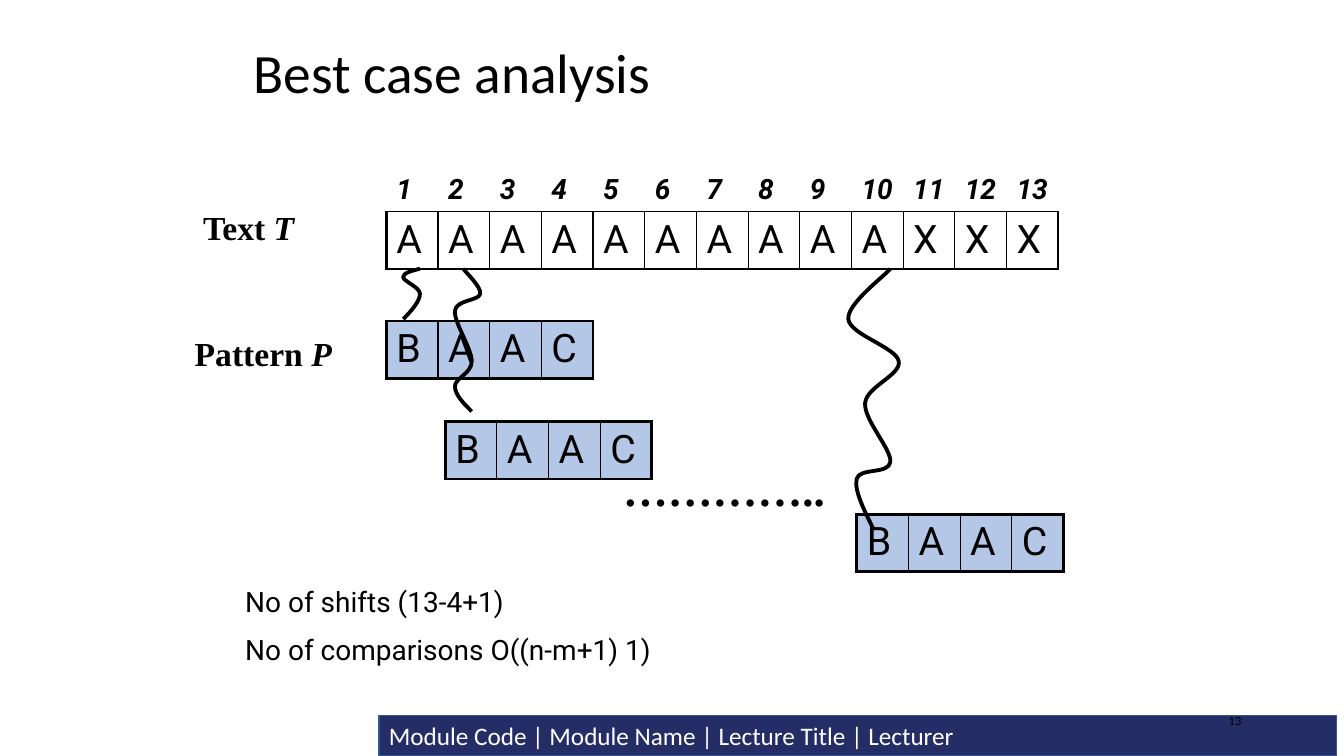
from lxml.etree import SubElement
from pptx import Presentation
from pptx.dml.color import RGBColor
from pptx.enum.shapes import MSO_SHAPE
from pptx.enum.text import MSO_ANCHOR, PP_ALIGN
from pptx.oxml.ns import qn
from pptx.util import Pt

# Content: lengths in points
COLORS = {"black": "000000", "white": "FFFFFF", "navy": "252D67",
          "navy_edge": "325491", "pattern": "B4C7E7"}
TITLE = "Best case analysis"
FOOTER = "Module Code | Module Name | Lecture Title | Lecturer"
PAGE = "13"
TEXT_T = "AAAAAAAAAAXXX"
PATTERN_P = "BAAC"
TEXT_AT = (276, 120)
ANALYSIS = ["No of shifts (13-4+1)", "No of comparisons O((n-m+1) 1)"]
LABELS = [("Text ", "T", (138, 144, 102, 36)),
          ("Pattern ", "P", (132, 234, 120, 36))]
ELLIPSIS = "………….."
# Each shift: pattern position, then the Bezier points linking it to the text
SHIFTS = [
    ((276, 229.3), [(288, 228), (294, 222), (300, 215), (300, 210),
                    (300, 205), (288, 201), (288, 198),
                    (288, 195), (294, 193.5), (300, 192)]),
    ((318, 301.3), [(337, 294), (331, 288), (325, 282), (325, 276),
                    (325, 270), (337, 267), (337, 258),
                    (337, 249), (324, 230), (325, 222),
                    (326, 214), (342, 215), (343, 210),
                    (344, 205), (333, 195), (331, 192)]),
    ((612, 367.5), [(624, 378), (617, 364), (610, 350), (612, 342),
                    (614, 334), (635, 339), (636, 330),
                    (637, 321), (617, 300), (618, 288),
                    (619, 276), (644, 268), (642, 258),
                    (640, 248), (607, 239), (606, 228),
                    (605, 217), (631, 198), (636, 192)]),
]
CELL_WIDTH, INDEX_HEIGHT, TEXT_HEIGHT, PATTERN_HEIGHT = 36.92, 30, 40, 40.8
THIN, THICK = 1, 2.25

deck = Presentation()
deck.slide_width, deck.slide_height = Pt(960), Pt(540)
slide = deck.slides.add_slide(deck.slide_layouts[6])
shapes = slide.shapes


def color(name):
    return RGBColor.from_string(COLORS[name])


def style(paragraph, font, size, tint="black", bold=False, italic=False):
    for run in paragraph.runs:
        run.font.name, run.font.size = font, Pt(size)
        run.font.bold, run.font.italic = bold, italic
        run.font.color.rgb = color(tint)


def add_text(box, lines, font, size, bold=False, anchor=MSO_ANCHOR.TOP):
    frame = shapes.add_textbox(*map(Pt, box)).text_frame
    frame.word_wrap = True
    frame.vertical_anchor = anchor
    frame.text = "\n".join(lines)
    for paragraph in frame.paragraphs:
        style(paragraph, font, size, bold=bold)
    return frame


def set_borders(cell, **widths):
    properties = cell._tc.get_or_add_tcPr()
    for position, side in enumerate(s for s in "LRTB" if s in widths):
        line = properties.makeelement(qn(f"a:ln{side}"), w=str(Pt(widths[side])))
        fill = SubElement(line, qn("a:solidFill"))
        SubElement(fill, qn("a:srgbClr"), val=COLORS["black"])
        properties.insert(position, line)


def add_cells(at, letters, tint, top_width, heights):
    """Draw one row of boxed letters; with two heights, indices go above."""
    count = len(letters)
    table = shapes.add_table(len(heights), count, *map(Pt, at),
                             Pt(CELL_WIDTH * count), Pt(sum(heights))).table
    table.first_row = table.horz_banding = False
    for row, height in zip(table.rows, heights):
        row.height = Pt(height)
    for i, letter in enumerate(letters):
        table.columns[i].width = Pt(CELL_WIDTH)
        box = table.cell(len(heights) - 1, i)
        box.text = letter
        style(box.text_frame.paragraphs[0], "Roboto", 28)
        if len(heights) > 1:
            index = table.cell(0, i)
            index.text = str(i + 1)
            style(index.text_frame.paragraphs[0], "Roboto", 20, bold=True, italic=True)
            index.fill.solid()
            index.fill.fore_color.rgb = color(tint)
            set_borders(index, B=THIN)
        box.fill.solid()
        box.fill.fore_color.rgb = color(tint)
        set_borders(box, L=THICK if i == 0 else THIN,
                    R=THICK if i == count - 1 else THIN,
                    T=top_width, B=THICK)


def add_curve(points):
    """Draw a freeform, then turn each three segments into one Bezier."""
    builder = shapes.build_freeform(*map(Pt, points[0]))
    builder.add_line_segments([tuple(map(Pt, p)) for p in points[1:]], close=False)
    curve = builder.convert_to_shape()
    segments = list(curve._element.iter(qn("a:lnTo")))
    for k in range(0, len(segments), 3):
        outline = segments[k].getparent()
        bezier = SubElement(outline, qn("a:cubicBezTo"))
        for segment in segments[k:k + 3]:
            bezier.append(segment[0])
            outline.remove(segment)
    curve.shadow.inherit = False
    curve.fill.background()
    curve.line.color.rgb = color("black")
    curve.line.width = Pt(2.75)


# Footer bar, title and page number
footer = shapes.add_shape(MSO_SHAPE.RECTANGLE, Pt(270.7), Pt(511), Pt(684), Pt(29))
footer.shadow.inherit = False
footer.fill.solid()
footer.fill.fore_color.rgb = color("navy")
footer.line.color.rgb = color("navy_edge")
footer.line.width = Pt(1)
footer.text_frame.text = FOOTER
footer.text_frame.vertical_anchor = MSO_ANCHOR.MIDDLE
footer.text_frame.paragraphs[0].alignment = PP_ALIGN.LEFT
style(footer.text_frame.paragraphs[0], "Calibri", 18, "white")

title = add_text((174, 30, 612, 48), [TITLE], "Calibri", 39.6, anchor=MSO_ANCHOR.MIDDLE)
title.paragraphs[0].line_spacing = 0.9
page = add_text((678, 500.4, 216, 28.8), [PAGE], "Lato", 8, anchor=MSO_ANCHOR.MIDDLE)
page.paragraphs[0].alignment = PP_ALIGN.RIGHT

# Text, then the pattern at each shift
add_cells(TEXT_AT, TEXT_T, "white", THIN, [INDEX_HEIGHT, TEXT_HEIGHT])
for at, link in SHIFTS:
    add_cells(at, PATTERN_P, "pattern", THICK, [PATTERN_HEIGHT])
    add_curve(link)
add_text((438, 326, 168, 45), [ELLIPSIS], "Times New Roman", 32, bold=True)

# Result and row labels
analysis = add_text((168, 414, 594, 67), ANALYSIS, "Roboto", 20)
analysis.paragraphs[1].space_before = Pt(10)
for word, symbol, box in LABELS:
    label = add_text(box, [word], "Times New Roman", 24, bold=True).paragraphs[0]
    label.add_run().text = symbol
    style(label, "Times New Roman", 24, bold=True)
    label.runs[1].font.italic = True

deck.save("out.pptx")
